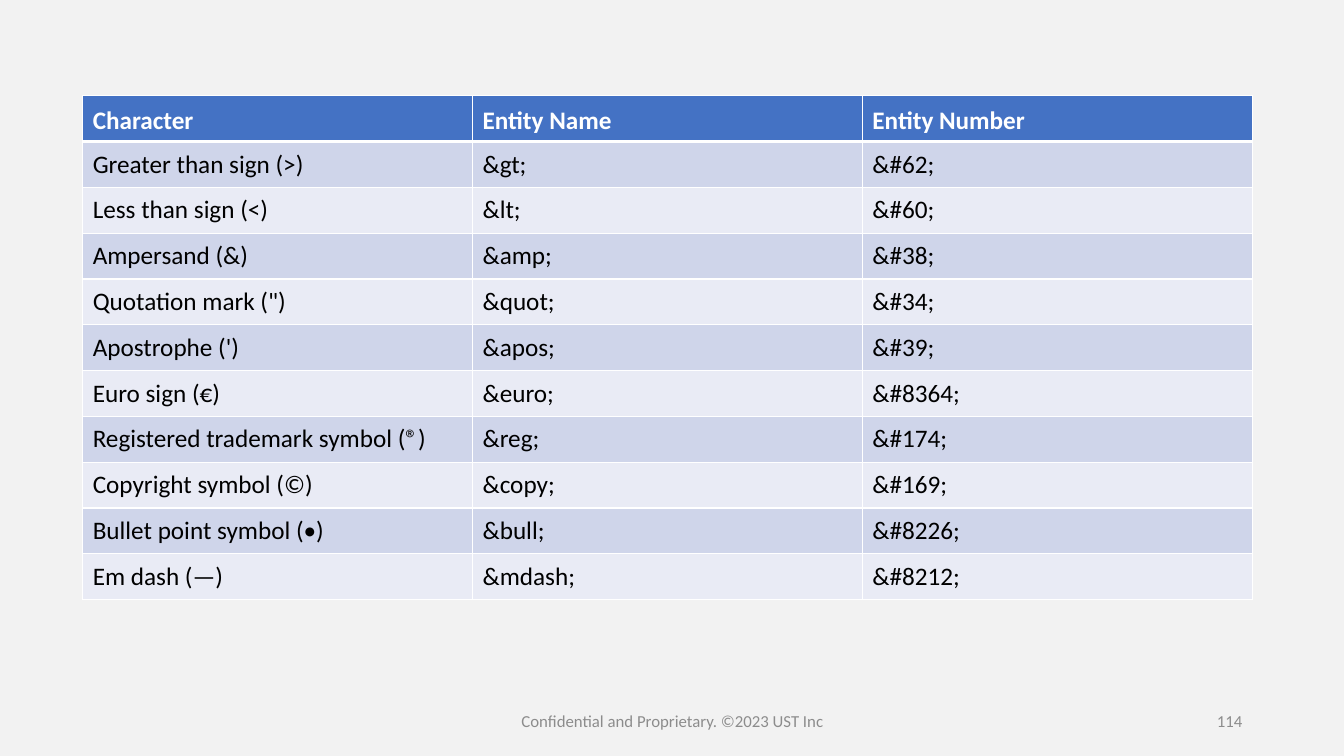
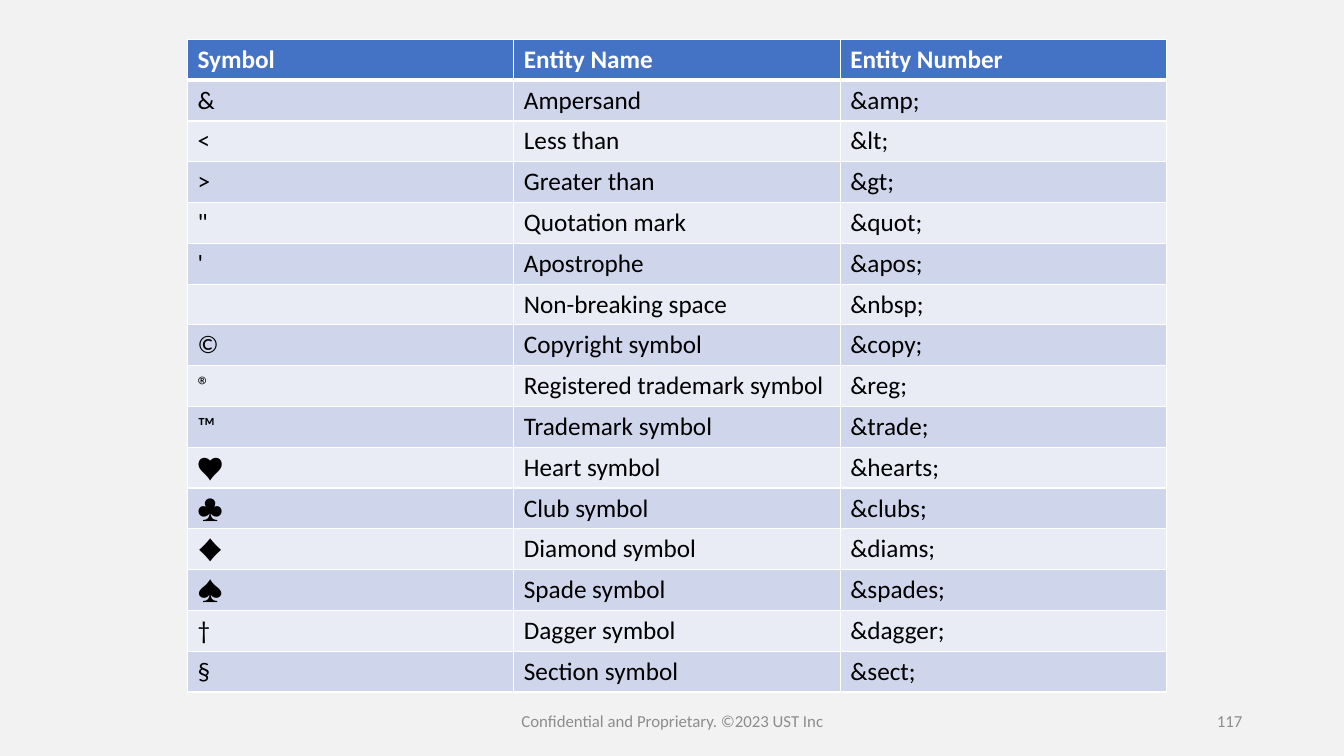
"""Build two slides with tables of HTML character entities."""
from lxml import etree
from pptx import Presentation
from pptx.dml.color import RGBColor
from pptx.enum.text import MSO_ANCHOR, PP_ALIGN
from pptx.oxml.ns import qn
from pptx.util import Inches, Pt

MIDDLE, BOTTOM = MSO_ANCHOR.MIDDLE, MSO_ANCHOR.BOTTOM
CENTER, RIGHT = PP_ALIGN.CENTER, PP_ALIGN.RIGHT

FONT = "Calibri"
PAPER, WHITE, BLACK, GREY = "F2F2F2", "FFFFFF", "000000", "8C8C8C"
HEADER, BANDS = "4472C4", ("E9EBF5", "CFD5EA")
THIN, THICK = 1, 3
FOOTER = "Confidential and Proprietary. ©2023 UST Inc"

SLIDES = [
    {
        "number": "114", "left": 0.82, "top": 0.95, "width": 11.6, "height": 5,
        "rows": [
            ("Character", "Entity Name", "Entity Number"),
            ("Greater than sign (>)", "&gt;", "&#62;"),
            ("Less than sign (<)", "&lt;", "&#60;"),
            ("Ampersand (&)", "&amp;", "&#38;"),
            ('Quotation mark (")', "&quot;", "&#34;"),
            ("Apostrophe (')", "&apos;", "&#39;"),
            ("Euro sign (€)", "&euro;", "&#8364;"),
            ("Registered trademark symbol (®)", "&reg;", "&#174;"),
            ("Copyright symbol (©)", "&copy;", "&#169;"),
            ("Bullet point symbol (•)", "&bull;", "&#8226;"),
            ("Em dash (—)", "&mdash;", "&#8212;"),
        ],
    },
    {
        "number": "117", "left": 1.86, "top": 0.39, "width": 9.71, "height": 6.48,
        "rows": [
            ("Symbol", "Entity Name", "Entity Number"),
            ("&", "Ampersand", "&amp;"),
            ("<", "Less than", "&lt;"),
            (">", "Greater than", "&gt;"),
            ('"', "Quotation mark", "&quot;"),
            ("'", "Apostrophe", "&apos;"),
            ("", "Non-breaking space", "&nbsp;"),
            ("©", "Copyright symbol", "&copy;"),
            ("®", "Registered trademark symbol", "&reg;"),
            ("™", "Trademark symbol", "&trade;"),
            ("♥", "Heart symbol", "&hearts;"),
            ("♣", "Club symbol", "&clubs;"),
            ("♦", "Diamond symbol", "&diams;"),
            ("♠", "Spade symbol", "&spades;"),
            ("†", "Dagger symbol", "&dagger;"),
            ("§", "Section symbol", "&sect;"),
        ],
    },
]


def rgb(value):
    """Turn a hex string into a colour."""
    return RGBColor.from_string(value)


def add_text(p, text, size, color, bold=False):
    """Add one formatted run to a paragraph."""
    p.font.size = Pt(size)
    if text:
        r = p.add_run()
        r.text = text
        r.font.name, r.font.size, r.font.bold = FONT, Pt(size), bold
        r.font.color.rgb = rgb(color)


def add_footer(s, text, left, width, align):
    """Add one text of the footer line."""
    sp = s.shapes.add_textbox(Inches(left), Inches(6.95), Inches(width), Inches(0.4))
    tf = sp.text_frame
    tf.word_wrap, tf.vertical_anchor = True, MIDDLE
    p = tf.paragraphs[0]
    p.alignment = align
    add_text(p, text, 12, GREY)


def set_borders(cell, top, bottom):
    """Draw white lines around a cell."""
    tc_pr = cell._tc.get_or_add_tcPr()
    for side, width in (("L", THIN), ("R", THIN), ("T", top), ("B", bottom)):
        ln = etree.SubElement(tc_pr, qn(f"a:ln{side}"), w=str(Pt(width)))
        fill = etree.SubElement(ln, qn("a:solidFill"))
        etree.SubElement(fill, qn("a:srgbClr"), val=WHITE)


def add_entity_table(s, spec_rows, left, top, width, height):
    """Add a banded table with equal columns and rows."""
    n_rows, n_cols = len(spec_rows), len(spec_rows[0])
    table = s.shapes.add_table(n_rows, n_cols, Inches(left), Inches(top),
                               Inches(width), Inches(height)).table
    for i, row in enumerate(spec_rows):
        head = i == 0
        for j, text in enumerate(row):
            cell = table.cell(i, j)
            set_borders(cell, THICK if i == 1 else THIN, THICK if head else THIN)
            cell.fill.solid()
            cell.fill.fore_color.rgb = rgb(HEADER if head else BANDS[i % 2])
            cell.vertical_anchor = BOTTOM if head else MIDDLE
            add_text(cell.text_frame.paragraphs[0], text, 18,
                     WHITE if head else BLACK, head)


def main():
    """Build and save the presentation."""
    prs = Presentation()
    prs.slide_width, prs.slide_height = Inches(13.33), Inches(7.5)
    background = prs.slide_master.background.fill
    background.solid()
    background.fore_color.rgb = rgb(PAPER)
    for item in SLIDES:
        s = prs.slides.add_slide(prs.slide_layouts[6])
        add_footer(s, FOOTER, 4.42, 4.5, CENTER)
        add_footer(s, item["number"], 9.42, 3, RIGHT)
        add_entity_table(s, item["rows"], item["left"], item["top"],
                         item["width"], item["height"])
    prs.save("out.pptx")


if __name__ == "__main__":
    main()
